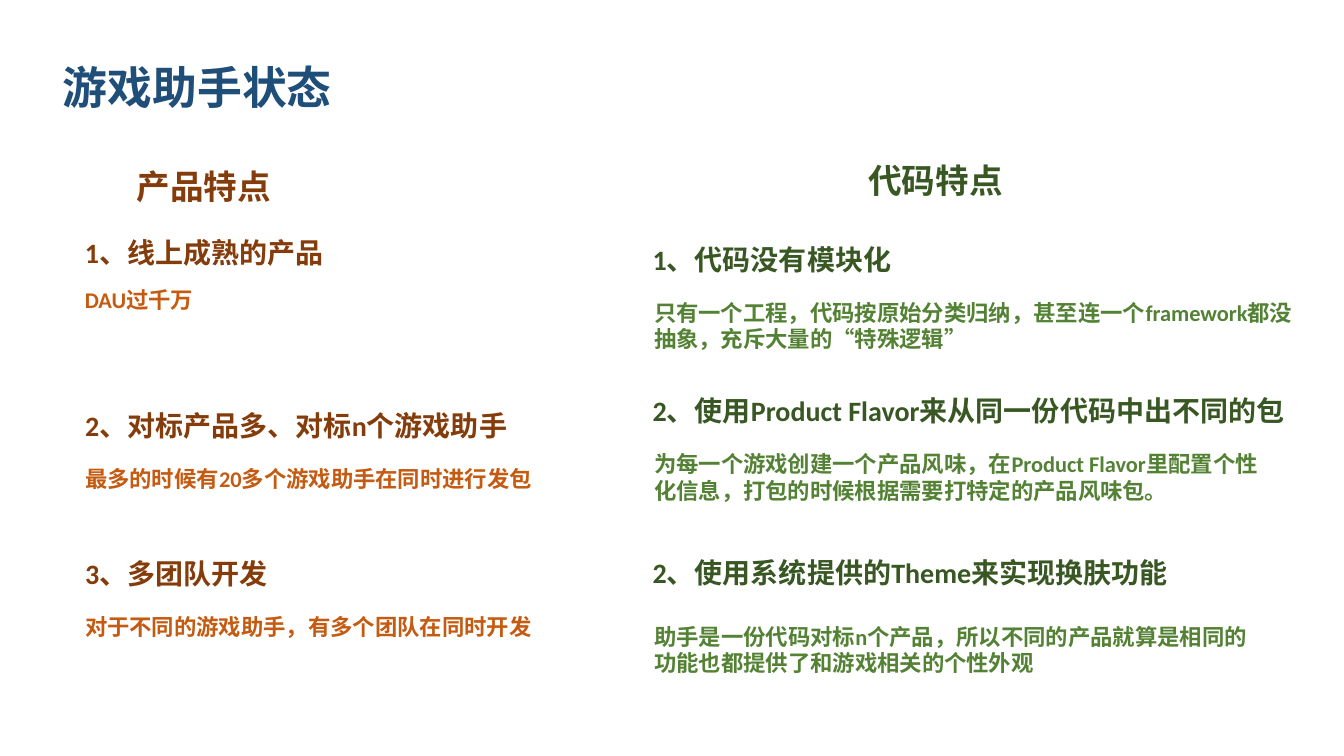
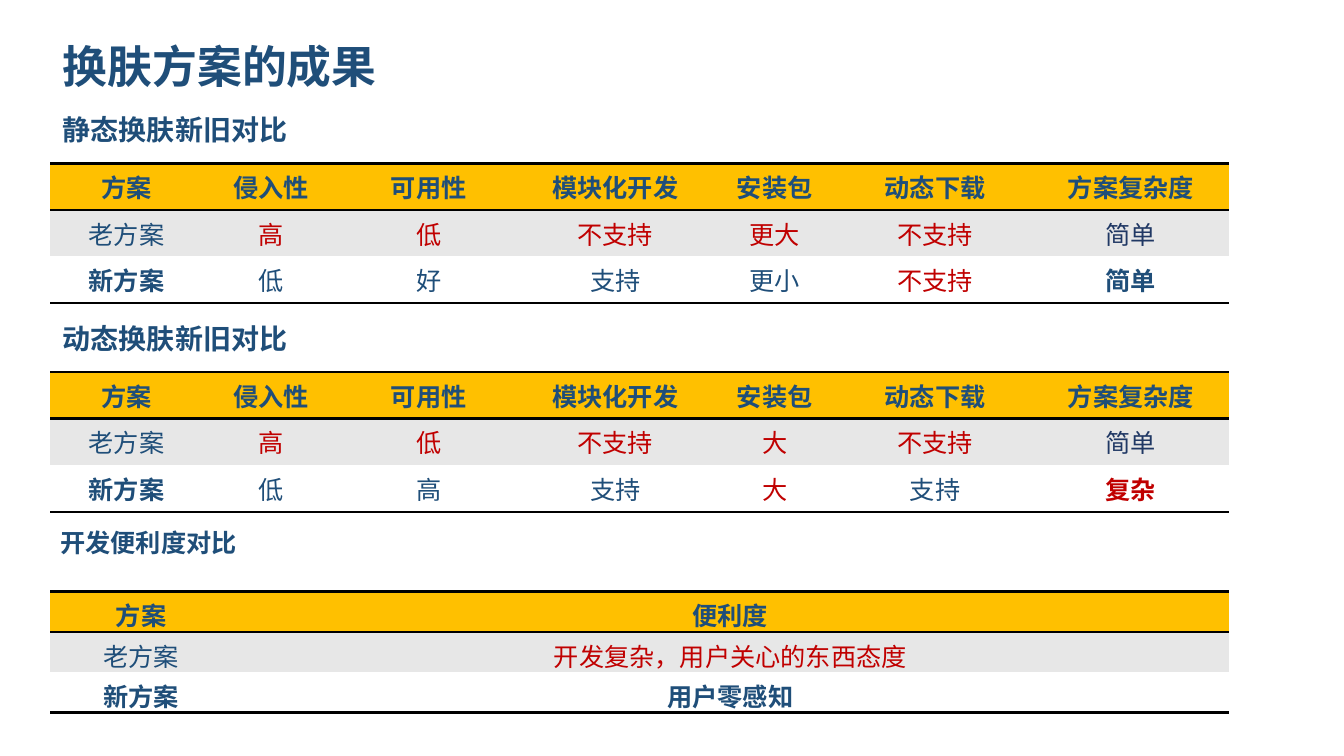
from dataclasses import dataclass

from lxml import etree
from pptx import Presentation
from pptx import util as u
from pptx.dml.color import RGBColor
from pptx.enum import shapes, text
from pptx.oxml import ns

WIDTH, HEIGHT = u.Inches(13.333), u.Inches(7.5)
FONT = "Calibri"
NO_STYLE = "{2D5ABB26-0587-4C30-8999-92F81FD0307C}"

NAVY = RGBColor(0x1F, 0x4E, 0x79)
DEEP_BLUE = RGBColor(0x20, 0x38, 0x64)
BROWN = RGBColor(0x84, 0x3C, 0x0B)
ORANGE = RGBColor(0xC5, 0x5A, 0x11)
DARK_GREEN = RGBColor(0x38, 0x57, 0x23)
GREEN = RGBColor(0x54, 0x82, 0x35)
RED = RGBColor(0xC0, 0x00, 0x00)
ROW_FILLS = (RGBColor(0xFF, 0xC0, 0x00), RGBColor(0xE7, 0xE7, 0xE7),
             RGBColor(0xFF, 0xFF, 0xFF))

# Places and sizes are percentages of the slide's width and height.
MARGIN = 3.75
LINE = 7.07
TABLE_WIDTH = 87.68
TALL_ROW, SHORT_ROW = 6.13, 5.33

PRODUCT_LEFT, PRODUCT_WIDTH = 5.4, 39.7
CODE_LEFT, CODE_WIDTH, CODE_NARROW = 47.63, 50.4, 47.85

# Each point: heading, top, height, then detail, top, width, height.
PRODUCT_POINTS = [
    ("1、线上成熟的产品", 30.13, 6.53,
     "DAU过千万", 36.4, PRODUCT_WIDTH, 6.53),
    ("2、对标产品多、对标n个游戏助手", 52.67, LINE,
     "最多的时候有20多个游戏助手在同时进行发包", 59.73, 35.93, LINE),
    ("3、多团队开发", 72.27, LINE,
     "对于不同的游戏助手，有多个团队在同时开发", 79.33, 35.93, LINE),
]
CODE_POINTS = [
    ("1、代码没有模块化", 30.8, LINE,
     "只有一个工程，代码按原始分类归纳，甚至连一个framework都没抽象，充斥大量的“特殊逻辑”",
     37.6, CODE_WIDTH, 10.93),
    ("2、使用Product Flavor来从同一份代码中出不同的包", 50.8, LINE,
     "为每一个游戏创建一个产品风味，在Product Flavor里配置个性化信息，打包的时候根据需要打特定的产品风味包。",
     57.6, CODE_NARROW, 10.93),
    ("2、使用系统提供的Theme来实现换肤功能", 72.13, LINE,
     "助手是一份代码对标n个产品，所以不同的产品就算是相同的功能也都提供了和游戏相关的个性外观",
     80.27, CODE_NARROW, 11.33),
]


@dataclass
class Entry:
    """Text of a table cell with its look."""
    text: str
    color: RGBColor = NAVY
    bold: bool = False


def bad(words, bold=False):
    return Entry(words, RED, bold)


def strong(words):
    return Entry(words, bold=True)


SKIN_HEADER = ["方案", "侵入性", "可用性", "模块化开发", "安装包", "动态下载", "方案复杂度"]
SKIN_COLUMNS = [1.51, 1.35, 1.78, 1.92, 1.24, 1.94, 1.94]
OLD, NEW = Entry("老方案"), strong("新方案")
SIMPLE = Entry("简单", DEEP_BLUE)

STATIC_ROWS = [
    [OLD, bad("高"), bad("低"), bad("不支持"), bad("更大"), bad("不支持"), SIMPLE],
    [NEW, Entry("低"), Entry("好"), Entry("支持"), Entry("更小"), bad("不支持"),
     strong("简单")],
]
DYNAMIC_ROWS = [
    [OLD, bad("高"), bad("低"), bad("不支持"), bad("大"), bad("不支持"), SIMPLE],
    [NEW, Entry("低"), Entry("高"), Entry("支持"), bad("大"), Entry("支持"),
     bad("复杂", bold=True)],
]
EASE_ROWS = [
    [OLD, bad("开发复杂，用户关心的东西态度")],
    [NEW, strong("用户零感知")],
]


def across(share):
    return round(WIDTH * share / 100)


def down(share):
    return round(HEIGHT * share / 100)


def write(frame, words, size, color, bold=True, align=text.PP_ALIGN.LEFT):
    paragraph = frame.paragraphs[0]
    paragraph.text = words
    paragraph.alignment = align
    font = paragraph.font
    font.name, font.size, font.bold = FONT, u.Pt(size), bold
    font.color.rgb = color


def add_label(slide, words, left, top, width, height, size, color):
    """Add bold text in an unfilled rounded rectangle."""
    shape = slide.shapes.add_shape(
        shapes.MSO_SHAPE.ROUNDED_RECTANGLE,
        across(left), down(top), across(width), down(height))
    shape.shadow.inherit = False
    shape.fill.background()
    shape.line.fill.background()
    shape.text_frame.word_wrap = True
    shape.text_frame.vertical_anchor = text.MSO_ANCHOR.MIDDLE
    write(shape.text_frame, words, size, color)


def add_title(slide, words, top):
    add_label(slide, words, MARGIN, top, 60, LINE, 32, NAVY)


def add_points(slide, points, left, heading_width, heading_color, detail_color):
    for heading, top, height, detail, detail_top, width, detail_height in points:
        add_label(slide, heading, left, top, heading_width, height, 20, heading_color)
        add_label(slide, detail, left, detail_top, width, detail_height, 16, detail_color)


def add_rule(cell, side):
    """Draw a black border on one side of a cell: lnT or lnB."""
    properties = cell._tc.get_or_add_tcPr()
    line = etree.Element(ns.qn("a:" + side), w=str(u.Pt(2)))
    fill = etree.SubElement(line, ns.qn("a:solidFill"))
    etree.SubElement(fill, ns.qn("a:srgbClr"), val="000000")
    properties.insert(0, line)


def add_comparison(slide, header, rows, weights, top, row_share, bottom_margin=0.05):
    """Add a ruled table whose columns share its width by weight."""
    entries = [[strong(words) for words in header]] + rows
    frame = slide.shapes.add_table(
        len(entries), len(header), across(MARGIN), down(top),
        across(TABLE_WIDTH), down(row_share * len(entries)))
    table = frame.table
    table._tbl.tblPr.find(ns.qn("a:tableStyleId")).text = NO_STYLE
    for column, weight in zip(table.columns, weights):
        column.width = round(across(TABLE_WIDTH) * weight / sum(weights))
    for row_index, row in enumerate(entries):
        for column_index, entry in enumerate(row):
            cell = table.cell(row_index, column_index)
            cell.margin_bottom = u.Inches(bottom_margin)
            cell.fill.solid()
            cell.fill.fore_color.rgb = ROW_FILLS[row_index]
            write(cell.text_frame, entry.text, 18, entry.color, entry.bold,
                  text.PP_ALIGN.CENTER)
            if row_index in (0, len(entries) - 1):
                add_rule(cell, "lnB")
            if row_index == 0:
                add_rule(cell, "lnT")


def add_note(slide, words, left, top, width, height):
    box = slide.shapes.add_textbox(across(left), down(top), across(width), down(height))
    box.text_frame.word_wrap = False
    write(box.text_frame, words, 18, NAVY)


def build_status(slide):
    add_title(slide, "游戏助手状态", 7.87)
    add_label(slide, "产品特点", 9.23, 21.07, 19.13, LINE, 24, BROWN)
    add_points(slide, PRODUCT_POINTS, PRODUCT_LEFT, PRODUCT_WIDTH, BROWN, ORANGE)
    add_label(slide, "代码特点", 63.68, 20.27, 19.13, LINE, 24, DARK_GREEN)
    add_points(slide, CODE_POINTS, CODE_LEFT, CODE_WIDTH, DARK_GREEN, GREEN)


def build_results(slide):
    add_title(slide, "换肤方案的成果", 5.2)
    for heading, top, rows in (("静态换肤新旧对比", 13.6, STATIC_ROWS),
                               ("动态换肤新旧对比", 41.2, DYNAMIC_ROWS)):
        add_label(slide, heading, MARGIN, top, 23.77, LINE, 20, NAVY)
        add_comparison(slide, SKIN_HEADER, rows, SKIN_COLUMNS, top + 8, TALL_ROW)
    add_note(slide, "开发便利度对比", MARGIN, 69.07, 14.78, 5.33)
    add_comparison(slide, ["方案", "便利度"], EASE_ROWS, [1.8, 9.89], 78.27,
                   SHORT_ROW, bottom_margin=0)


def main():
    presentation = Presentation()
    presentation.slide_width, presentation.slide_height = WIDTH, HEIGHT
    blank = presentation.slide_layouts[6]
    for build in (build_status, build_results):
        build(presentation.slides.add_slide(blank))
    presentation.save("out.pptx")


if __name__ == "__main__":
    main()
